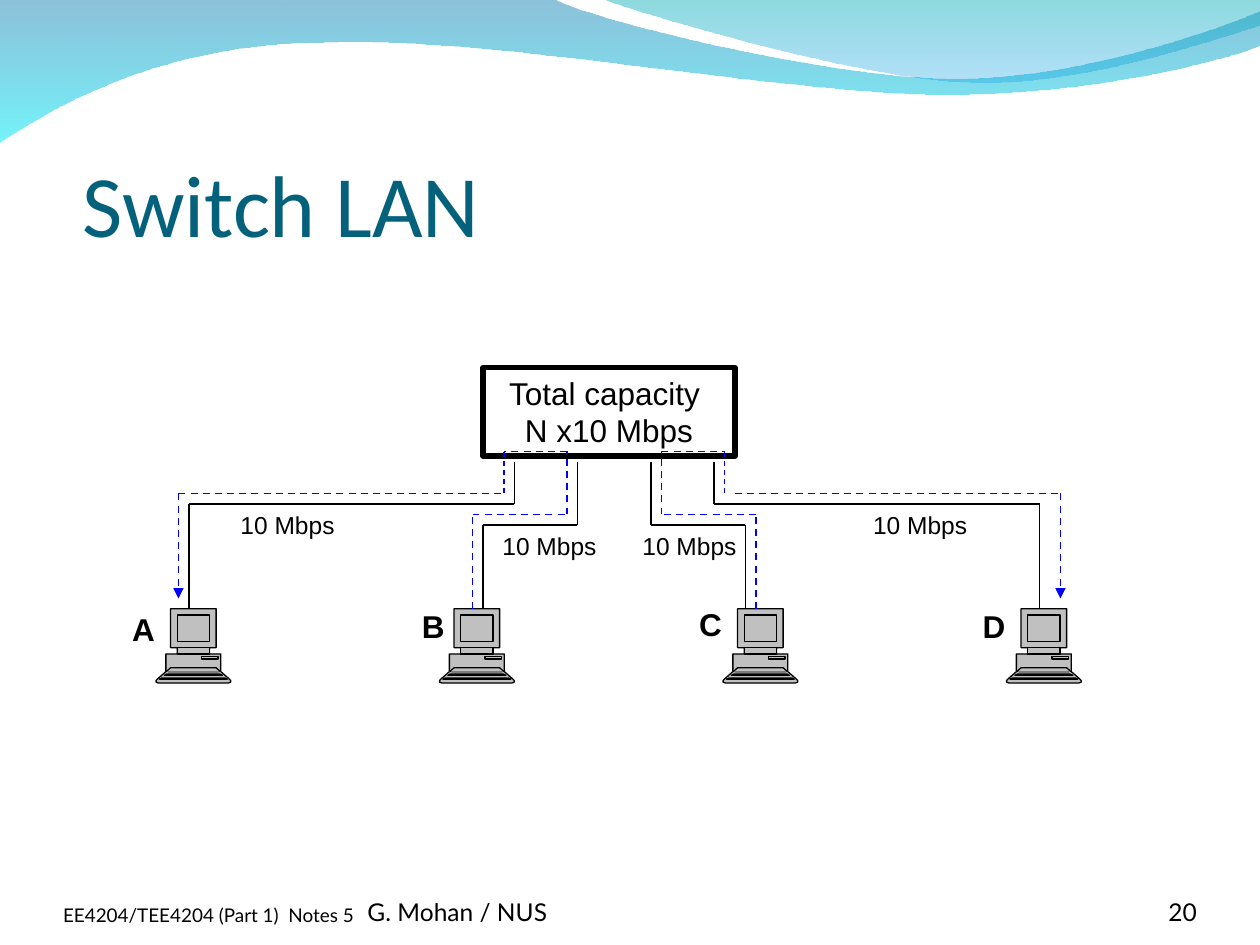
from copy import deepcopy
from dataclasses import dataclass
from itertools import pairwise

from lxml import etree
from pptx import Presentation
from pptx.dml.color import RGBColor
from pptx.enum.dml import MSO_LINE
from pptx.enum.shapes import MSO_CONNECTOR, MSO_SHAPE
from pptx.enum.text import MSO_ANCHOR, MSO_AUTO_SIZE, PP_ALIGN
from pptx.oxml.ns import qn
from pptx.util import Pt

DASH = MSO_LINE.DASH
STRAIGHT = MSO_CONNECTOR.STRAIGHT
RECTANGLE = MSO_SHAPE.RECTANGLE
TOP, BOTTOM = MSO_ANCHOR.TOP, MSO_ANCHOR.BOTTOM
FIT_SHAPE, NO_FIT = MSO_AUTO_SIZE.SHAPE_TO_FIT_TEXT, MSO_AUTO_SIZE.NONE
LEFT, CENTER, RIGHT = PP_ALIGN.LEFT, PP_ALIGN.CENTER, PP_ALIGN.RIGHT


@dataclass(frozen=True)
class Theme:
    ink: str = "000000"
    title: str = "04617B"
    computer: str = "C0C0C0"
    flow: str = "0000FF"
    title_font: str = "Calibri"
    footer_font: str = "Lato"
    diagram_font: str = "Arial"
    title_size: float = 50
    name_size: float = 18
    speed_size: float = 14
    note_size: float = 10.8
    thin: float = 0.75
    flow_line: float = 1
    frame: float = 3


THEME = Theme()

TITLE = " Switch LAN"
SWITCH_LINES = ["Total capacity ", "N x10 Mbps"]
SPEED = "10 Mbps"
# text, left, width, size, alignment, line spacing
FOOTERS = [
    ("EE4204/TEE4204 (Part 1)  Notes 5", 36, 168, THEME.note_size, LEFT, 0.8),
    ("G. Mohan / NUS", 210, 264, THEME.speed_size, LEFT, 1),
    ("20", 624, 60, THEME.speed_size, RIGHT, 1),
]
# name, name left and top, speed left and top, wire x, bend y, switch port x
STATIONS = [
    ("A", (68.4, 345), (130.3, 288), 108, 288, 294),
    ("B", (234, 343.5), (280, 300), 276, 300, 330),
    ("C", (392.4, 342), (360, 300), 426, 300, 372),
    ("D", (554.4, 343.5), (491.8, 288), 594, 288, 408),
]
FIRST_CENTER, STATION_PITCH, STATION_TOP = 110.5, 162, 347.8
PORT_Y, WIRE_END = 264, 348

# line width, ends in an arrow, corner points
FLOW_RUNS = [
    (THEME.flow_line, False, [(270, 348), (270, 294), (324, 294), (324, 258), (288, 258)]),
    (THEME.thin, False, [(288, 282), (288, 258)]),
    (THEME.flow_line, False, [(102, 282), (288, 282)]),
    (THEME.flow_line, True, [(102, 282), (102, 342)]),
    (THEME.flow_line, False, [(432, 348), (432, 294), (378, 294), (378, 258), (414, 258)]),
    (THEME.thin, False, [(414, 282), (414, 258)]),
    (THEME.flow_line, False, [(420, 282), (606, 282)]),
    (THEME.flow_line, True, [(606, 282), (606, 342)]),
]

# Waves: gradient stops (colour, opacity percent), start, then lines (1 point) and curves (3 points)
WAVES = [
    ([("0079AF", 45), ("00EBF8", 55)], (0, 0), [
        [(317, 0)],
        [(343, 13), (478, 45), (546, 45)],
        [(614, 45), (690, 19), (720, 6.5)],
        [(720, 26)],
        [(708, 32), (626, 55), (537, 54)],
        [(446, 54), (275, 20), (185, 24.5)],
        [(93, 25), (33, 60), (0, 81.5)],
    ]),
    ([("00ADB6", 45), ("009BE5", 30)], (345, 0), [
        [(366, 8), (491, 45), (554, 47)],
        [(616, 50), (692, 23), (720, 15)],
        [(720, 0)],
    ]),
]
CURVE_STEPS = 32

# Computer parts, measured from the centre of its top edge
CASE_RIGHT = [(13, 0), (13, 22.3), (9.2, 22.3), (9.2, 25.9), (15.7, 25.9), (15.7, 36),
              (19.8, 39.6), (21.3, 41), (21.3, 42), (20, 42.5)]
KEY_ROWS = [(13, 14.4, 35.3), (15.1, 16.6, 37.4), (18, 19.4, 39.6)]
KEY_HEIGHT = 0.7
BOXES = [(4.7, 27.4, 14, 28.8), (-9.2, 3.6, 9.2, 18.7), (-9.2, 22.3, 9.2, 25.9)]


def color(value):
    return RGBColor.from_string(value)


def computer_outlines():
    """Return (points, closed) for every part, back to front."""
    case = CASE_RIGHT + [(-x, y) for x, y in reversed(CASE_RIGHT)]
    outlines = [(case, True)]
    for upper, lower, y in KEY_ROWS:
        bottom = y + KEY_HEIGHT
        outlines.append(([(lower, bottom), (upper, y), (-upper, y), (-lower, bottom)], True))
    outlines.append(([(15.5, 36), (13, 33.8), (-13, 33.8), (-15.5, 36)], False))
    for left, top, right, bottom in BOXES:
        outlines.append(([(left, top), (left, bottom), (right, bottom), (right, top)], True))
    return outlines


def add_outline(shapes, outlines, left=0, top=0):
    builder = None
    for points, closed in outlines:
        start, *rest = [(Pt(left + x), Pt(top + y)) for x, y in points]
        if builder is None:
            builder = shapes.build_freeform(*start)
        else:
            builder.move_to(*start)
        builder.add_line_segments(rest, close=closed)
    shape = builder.convert_to_shape()
    shape.shadow.inherit = False
    return shape


def separate_contours(shape):
    """Give each contour its own path, so that inner parts are filled, not cut out."""
    combined = shape._element.find(".//" + qn("a:path"))
    commands = list(combined)
    path_list = combined.getparent()
    for command in commands:
        combined.remove(command)
    empty = deepcopy(combined)
    path_list.remove(combined)
    for command in commands:
        if command.tag == qn("a:moveTo"):
            contour = deepcopy(empty)
            path_list.append(contour)
        contour.append(command)


def add_computer(shapes, center):
    shape = add_outline(shapes, computer_outlines(), center, STATION_TOP)
    separate_contours(shape)
    shape.fill.solid()
    shape.fill.fore_color.rgb = color(THEME.computer)
    shape.line.color.rgb = color(THEME.ink)
    shape.line.width = Pt(THEME.thin)


def add_wave(shapes, stops, start, segments):
    points = [start]
    for segment in segments:
        if len(segment) == 1:
            points += segment
            continue
        controls = [points[-1], *segment]
        for step in range(1, CURVE_STEPS + 1):
            t = step / CURVE_STEPS
            weights = ((1 - t) ** 3, 3 * t * (1 - t) ** 2, 3 * t * t * (1 - t), t ** 3)
            points.append(tuple(sum(w * p[axis] for w, p in zip(weights, controls))
                                for axis in (0, 1)))
    shape = add_outline(shapes, [(points, True)])
    shape.line.fill.background()
    shape.fill.gradient()
    shape.fill.gradient_angle = 270
    for stop, (value, _) in zip(shape.fill.gradient_stops, stops):
        stop.color.rgb = color(value)
    tints = shape._element.spPr.iter(qn("a:srgbClr"))
    for tint, (_, opacity) in zip(tints, stops):
        etree.SubElement(tint, qn("a:alpha"), val=str(opacity * 1000))


def add_route(shapes, points, value, width, dashed=False, arrow=False):
    for start, end in pairwise(points):
        connector = shapes.add_connector(STRAIGHT, *map(Pt, start + end))
        connector.line.color.rgb = color(value)
        connector.line.width = Pt(width)
        if dashed:
            connector.line.dash_style = DASH
        if arrow:
            etree.SubElement(connector.line._get_or_add_ln(), qn("a:tailEnd"), type="triangle")
        etree.SubElement(connector._element.spPr, qn("a:effectLst"))


def write(shape, lines, font, size, value=THEME.ink, bold=False, align=LEFT, anchor=TOP,
          fit=FIT_SHAPE, wrap=True, margins=(7.2, 3.6, 7.2, 3.6), spacing=1):
    frame = shape.text_frame
    frame.auto_size, frame.word_wrap, frame.vertical_anchor = fit, wrap, anchor
    (frame.margin_left, frame.margin_top,
     frame.margin_right, frame.margin_bottom) = map(Pt, margins)
    for index, line in enumerate(lines):
        paragraph = frame.add_paragraph() if index else frame.paragraphs[0]
        paragraph.alignment, paragraph.line_spacing = align, spacing
        run = paragraph.add_run()
        run.text = line
        run.font.name, run.font.size, run.font.bold = font, Pt(size), bold
        run.font.color.rgb = color(value)


def add_label(shapes, text, position, width, height, size, bold=False):
    box = shapes.add_textbox(*map(Pt, (*position, width, height)))
    write(box, [text], THEME.diagram_font, size, bold=bold, wrap=False)


def main():
    presentation = Presentation()
    presentation.slide_width, presentation.slide_height = Pt(720), Pt(540)
    slide = presentation.slides.add_slide(presentation.slide_layouts[5])
    shapes = slide.shapes

    for wave in WAVES:
        add_wave(shapes, *wave)

    title = shapes.title
    title.left, title.top, title.width, title.height = map(Pt, (36, 55.5, 648, 90))
    write(title, [TITLE], THEME.title_font, THEME.title_size, THEME.title,
          anchor=BOTTOM, fit=NO_FIT, margins=(0, 3.6, 0, 0))

    for text, left, width, size, align, spacing in FOOTERS:
        box = shapes.add_textbox(*map(Pt, (left, 500.5, width, 28.8)))
        write(box, [text], THEME.footer_font, size, align=align, anchor=BOTTOM,
              fit=NO_FIT, margins=(0, 0, 0, 0), spacing=spacing)

    for index, (name, name_at, speed_at, wire_x, bend_y, port_x) in enumerate(STATIONS):
        add_computer(shapes, FIRST_CENTER + index * STATION_PITCH)
        wire = [(wire_x, WIRE_END), (wire_x, bend_y), (port_x, bend_y), (port_x, PORT_Y)]
        add_route(shapes, wire, THEME.ink, THEME.thin)
        add_label(shapes, name, name_at, 27.4, 29, THEME.name_size, bold=True)
        add_label(shapes, SPEED, speed_at, 68.4, 24.2, THEME.speed_size)

    switch = shapes.add_shape(RECTANGLE, *map(Pt, (276, 210, 144, 50.6)))
    switch.shadow.inherit = False
    switch.fill.background()
    switch.line.color.rgb = color(THEME.ink)
    switch.line.width = Pt(THEME.frame)
    write(switch, SWITCH_LINES, THEME.diagram_font, THEME.name_size, align=CENTER)

    for width, arrow, points in FLOW_RUNS:
        add_route(shapes, points, THEME.flow, width, dashed=True, arrow=arrow)

    presentation.save("out.pptx")


if __name__ == "__main__":
    main()
